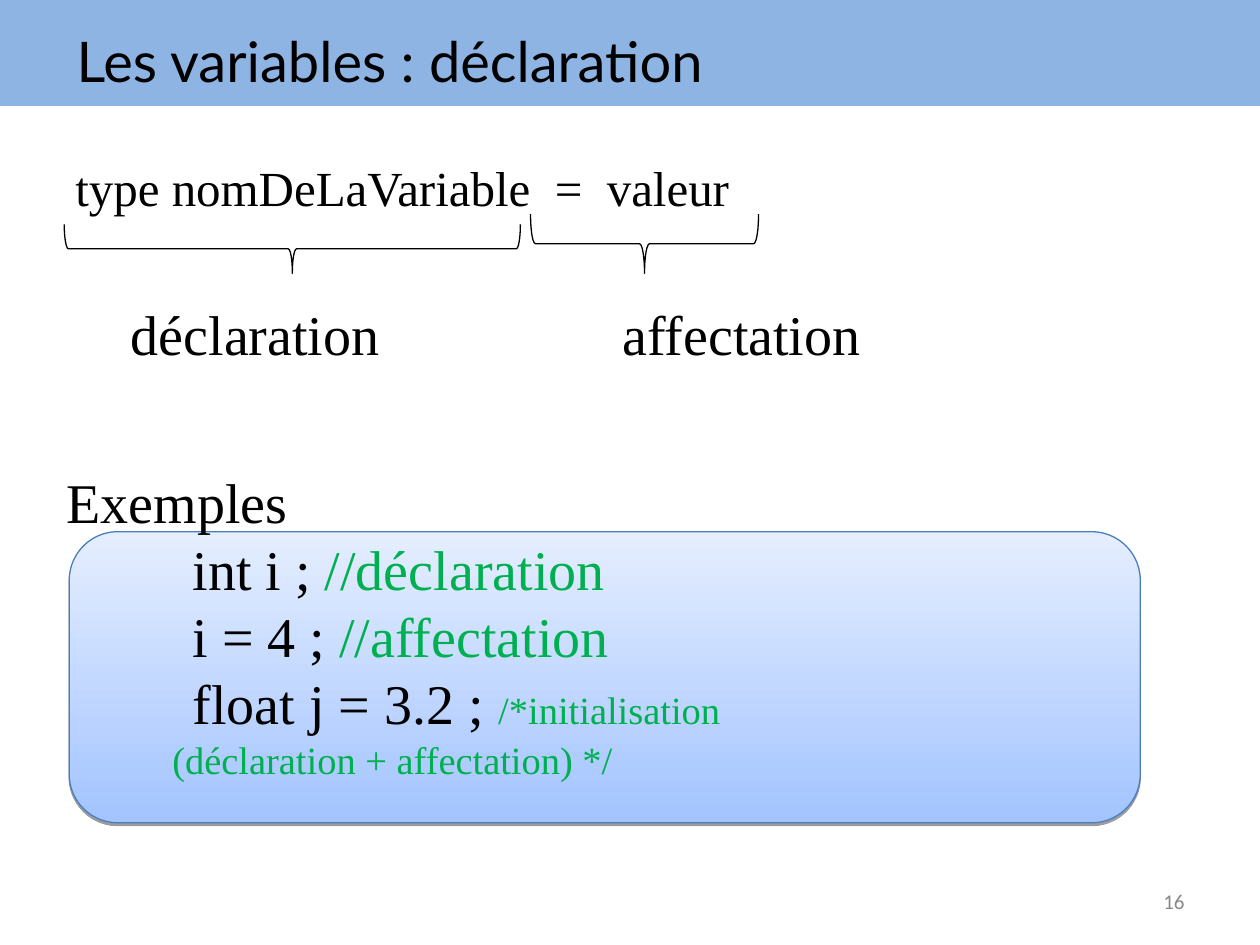
from lxml.etree import SubElement
from pptx import Presentation
from pptx.dml.color import RGBColor
from pptx.enum.shapes import MSO_SHAPE
from pptx.enum.text import MSO_ANCHOR, PP_ALIGN
from pptx.oxml.ns import qn
from pptx.util import Inches, Pt

SERIF = "Times New Roman"
BLACK, GREEN, GREY = "000000", "00B050", "898989"
BAND, BLUE = "8EB4E3", "4A7EBB"


def rgb(value):
    return RGBColor.from_string(value)


class SlideBuilder:
    def __init__(self, slide, font=SERIF, size=32, color=BLACK):
        self.slide = slide
        self.font, self.size, self.color = font, size, color

    def shape(self, kind, x, y, w, h, fill=None, line=None):
        sp = self.slide.shapes.add_shape(
            kind, Inches(x), Inches(y), Inches(w), Inches(h))
        sp.shadow.inherit = False
        if fill:
            sp.fill.solid()
            sp.fill.fore_color.rgb = rgb(fill)
        else:
            sp.fill.background()
        if line:
            sp.line.color.rgb = rgb(line)
            sp.line.width = Pt(0.75)
        else:
            sp.line.fill.background()
        return sp

    def panel(self, x, y, w, h, top, bottom, line):
        """Rounded panel with a vertical gradient and a thin shadow."""
        sp = self.shape(MSO_SHAPE.ROUNDED_RECTANGLE, x, y, w, h, top, line)
        sp.fill.gradient()
        sp.fill.gradient_angle = 270
        for stop, color, pos in zip(sp.fill.gradient_stops, (top, bottom), (0, 1)):
            stop.color.rgb = rgb(color)
            stop.position = pos
        effects = sp._element.spPr.find(qn("a:effectLst"))
        shadow = SubElement(effects, qn("a:outerShdw"), blurRad="0",
                            dist=str(Pt(1.6)), dir="5400000", rotWithShape="0")
        color = SubElement(shadow, qn("a:srgbClr"), val=BLACK)
        SubElement(color, qn("a:alpha"), val="38000")

    def brace(self, x, y, w, h):
        """Brace under a span; a right brace turned to point down."""
        sp = self.shape(MSO_SHAPE.RIGHT_BRACE, x + (w - h) / 2,
                        y + (h - w) / 2, h, w, line=BLACK)
        sp.rotation = 90

    def box(self, x, y, w, h, anchor=MSO_ANCHOR.TOP):
        sp = self.slide.shapes.add_textbox(
            Inches(x), Inches(y), Inches(w), Inches(h))
        tf = sp.text_frame
        tf.word_wrap = True
        tf.vertical_anchor = anchor
        return tf

    def style(self, r, size=None, color=None, font=None):
        r.font.name = font or self.font
        r.font.size = Pt(size or self.size)
        r.font.color.rgb = rgb(color or self.color)

    def text(self, x, y, w, h, text, size=None, color=None, font=None,
             anchor=MSO_ANCHOR.TOP, align=PP_ALIGN.LEFT):
        tf = self.box(x, y, w, h, anchor)
        tf.text = text
        p = tf.paragraphs[0]
        p.alignment = align
        self.style(p.runs[0], size, color, font)
        return tf

    def code_line(self, tf, code, comment, size=None, margin=1.0, first=1.0):
        """Code followed by a green comment; comment lines use the margin."""
        p = tf.add_paragraph()
        pPr = p._p.get_or_add_pPr()
        pPr.set("marL", str(Inches(margin)))
        pPr.set("indent", str(Inches(first - margin)))
        r = p.add_run()
        r.text = code
        self.style(r)
        for i, part in enumerate(comment.split("\n")):
            if i:
                p.add_line_break()
            r = p.add_run()
            r.text = part
            self.style(r, size, GREEN)


def main():
    prs = Presentation()
    prs.slide_width, prs.slide_height = Inches(10), Inches(7.5)
    s = SlideBuilder(prs.slides.add_slide(prs.slide_layouts[6]))

    # Title band
    s.shape(MSO_SHAPE.RECTANGLE, 0, 0, 10, 0.84, BAND)
    s.text(0.51, 0.13, 9, 0.69, "Les variables : déclaration",
           font="Lato", anchor=MSO_ANCHOR.MIDDLE)

    # Syntax with its two labelled parts
    tf = s.text(0.5, 1.15, 9, 0.71, "type nomDeLaVariable  =  valeur", size=28)
    tf.margin_top = Inches(0.1)
    s.brace(0.51, 1.78, 3.62, 0.39)
    s.brace(4.21, 1.7, 1.81, 0.47)
    s.text(0.94, 2.33, 2.95, 0.64, "déclaration")
    s.text(4.84, 2.33, 2.72, 0.64, "affectation")

    # Examples
    s.panel(0.55, 4.22, 8.5, 2.31, "E5EEFF", "A3C4FF", BLUE)
    tf = s.text(0.43, 3.66, 8.03, 3.67, "Exemples")
    s.code_line(tf, "int i ; ", "//déclaration")
    s.code_line(tf, "i = 4 ; ", "//affectation")
    s.code_line(tf, "float j = 3.2 ; ",
                "/*initialisation\n(déclaration + affectation) */",
                size=22, margin=0.84)

    # Slide number
    s.text(7.17, 6.95, 2.33, 0.4, "16", 12, GREY, "Calibri",
           MSO_ANCHOR.MIDDLE, PP_ALIGN.RIGHT)

    prs.save("out.pptx")


if __name__ == "__main__":
    main()
